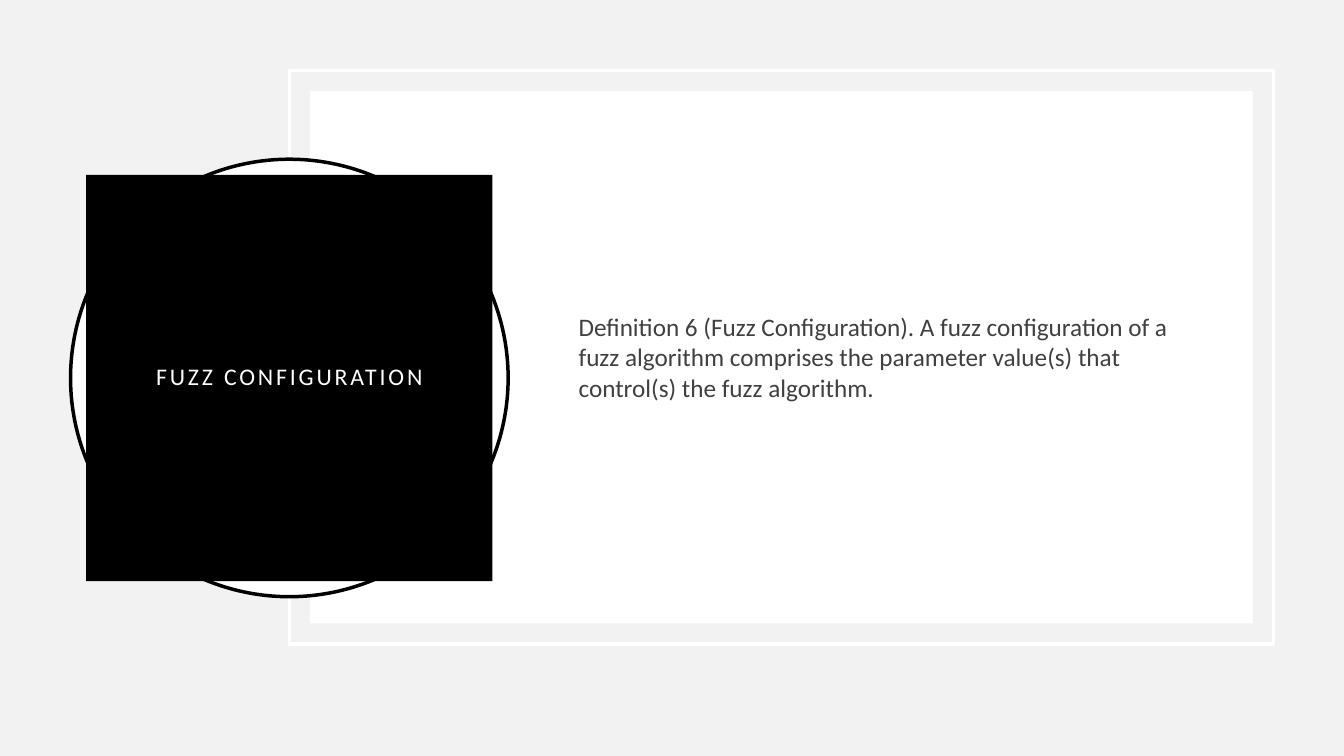
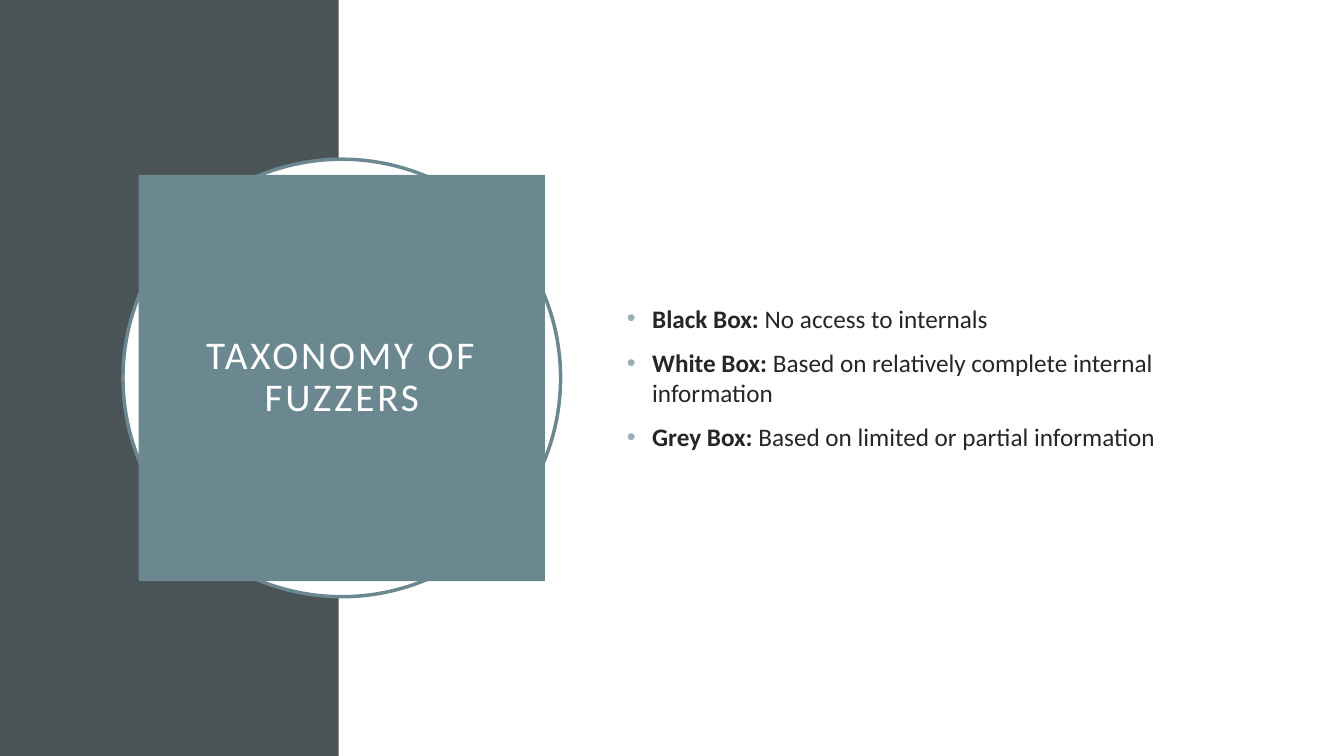
"""Build two slides on fuzzing, each with a ringed title beside a body text."""
from lxml.etree import SubElement
from pptx import Presentation
from pptx.dml.color import RGBColor
from pptx.enum.shapes import MSO_SHAPE as SHAPE
from pptx.enum.text import MSO_ANCHOR as ANCHOR, PP_ALIGN as ALIGN
from pptx.oxml.ns import qn
from pptx.util import Inches, Pt

WIDTH, HEIGHT = 13.33, 7.5
FONT = "Calibri"
WHITE = RGBColor(0xFF, 0xFF, 0xFF)
BLACK = RGBColor(0x00, 0x00, 0x00)
PALE = RGBColor(0xF2, 0xF2, 0xF2)
SLATE = RGBColor(0x4A, 0x53, 0x56)
TEAL = RGBColor(0x6B, 0x88, 0x91)
BULLET = RGBColor(0x9B, 0xAF, 0xB5)
GREY = RGBColor(0x40, 0x40, 0x40)
INK = RGBColor(0x26, 0x26, 0x26)

TITLE_SIDE, RING_SIDE = 4.03, 4.34
TITLE_INSET = 0.2
FRAME_BOX = (2.87, 0.7, 9.76, 5.69)
FRAME_GAP = 0.205
BAND_WIDTH = 3.36
INDENT = 0.25

DEFINITION = [("", "Definition 6 (Fuzz Configuration). A fuzz configuration of a fuzz "
                   "algorithm comprises the parameter value(s) that control(s) the fuzz algorithm.")]
TAXONOMY = [
    ("Black Box: ", "No access to internals"),
    ("White Box: ", "Based on relatively complete internal information"),
    ("Grey Box: ", "Based on limited or partial information"),
]


def add_slide(prs, color):
    s = prs.slides.add_slide(prs.slide_layouts[6])
    s.background.fill.solid()
    s.background.fill.fore_color.rgb = color
    return s


def add_panel(s, box, fill=None, line=None, kind=SHAPE.RECTANGLE):
    sp = s.shapes.add_shape(kind, *map(Inches, box))
    sp.shadow.inherit = False
    if fill is None:
        sp.fill.background()
    else:
        sp.fill.solid()
        sp.fill.fore_color.rgb = fill
    if line is None:
        sp.line.fill.background()
    else:
        sp.line.color.rgb = line
        sp.line.width = Pt(2.5)
    return sp


def set_font(font, size, color):
    font.name = FONT
    font.size = Pt(size)
    font.color.rgb = color


def centred_square(center_x, side):
    return center_x - side / 2, (HEIGHT - side) / 2, side, side


def add_title(s, text, center_x, color, size):
    add_panel(s, centred_square(center_x, RING_SIDE), WHITE, color, SHAPE.OVAL)
    sp = add_panel(s, centred_square(center_x, TITLE_SIDE), color)
    tf = sp.text_frame
    tf.word_wrap = True
    tf.vertical_anchor = ANCHOR.MIDDLE
    tf.margin_left = tf.margin_right = Inches(TITLE_INSET)
    tf.margin_top = tf.margin_bottom = Inches(TITLE_INSET)
    p = tf.paragraphs[0]
    p.text = text
    p.alignment = ALIGN.CENTER
    p.line_spacing = 0.9
    r = p.runs[0]
    set_font(r.font, size, WHITE)
    r.font._element.set("spc", "200")


def set_bullet(p):
    pPr = p._p.get_or_add_pPr()
    pPr.set("marL", str(Inches(INDENT)))
    pPr.set("indent", str(-Inches(INDENT)))
    color = SubElement(pPr, qn("a:buClr"))
    SubElement(color, qn("a:srgbClr")).set("val", str(BULLET))
    SubElement(pPr, qn("a:buFont")).set("typeface", "Arial")
    SubElement(pPr, qn("a:buChar")).set("char", "•")


def add_body(s, box, items, color, bulleted=False):
    tf = s.shapes.add_textbox(*map(Inches, box)).text_frame
    tf.word_wrap = True
    tf.vertical_anchor = ANCHOR.MIDDLE
    for i, (term, text) in enumerate(items):
        p = tf.paragraphs[0] if i == 0 else tf.add_paragraph()
        if bulleted:
            set_bullet(p)
        if i:
            p.space_before = Pt(10)
        for part, bold in ((term, True), (text, False)):
            if part:
                r = p.add_run()
                r.text = part
                set_font(r.font, 18, color)
                r.font.bold = bold


def add_definition_slide(prs):
    s = add_slide(prs, PALE)
    left, top, width, height = FRAME_BOX
    add_panel(s, FRAME_BOX, line=WHITE)
    add_panel(s, (left + FRAME_GAP, top + FRAME_GAP,
                  width - 2 * FRAME_GAP, height - 2 * FRAME_GAP), WHITE)
    add_title(s, "FUZZ CONFIGURATION", left, BLACK, 17)
    add_body(s, (5.64, 1.4, 6.25, 4.28), DEFINITION, GREY)


def add_taxonomy_slide(prs):
    s = add_slide(prs, WHITE)
    add_panel(s, (0, 0, BAND_WIDTH, HEIGHT), SLATE)
    add_title(s, "TAXONOMY OF FUZZERS", 3.39, TEAL, 28)
    add_body(s, (6.12, 1.53, 5.82, 4.43), TAXONOMY, INK, bulleted=True)


def main():
    prs = Presentation()
    prs.slide_width, prs.slide_height = Inches(WIDTH), Inches(HEIGHT)
    add_definition_slide(prs)
    add_taxonomy_slide(prs)
    prs.save("out.pptx")


if __name__ == "__main__":
    main()
